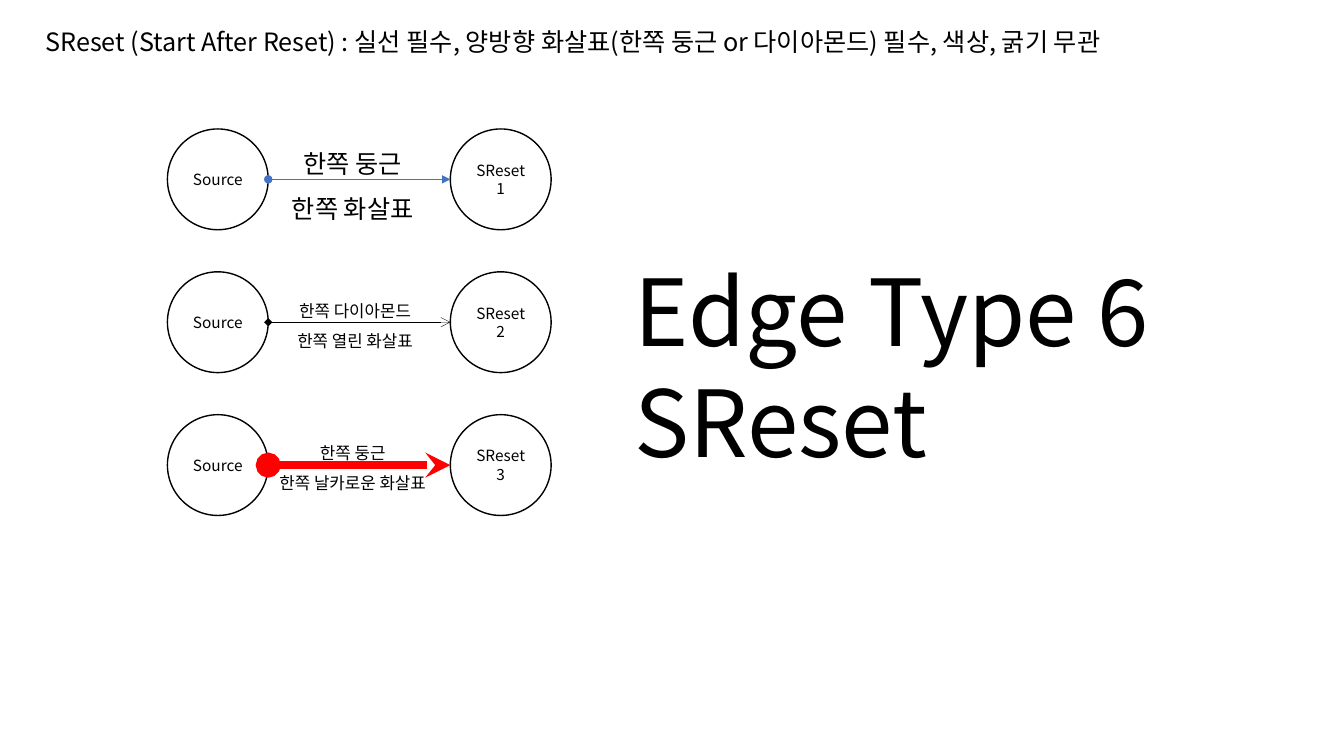
from lxml.etree import SubElement
from pptx import Presentation
from pptx.dml.color import RGBColor
from pptx.enum.shapes import MSO_CONNECTOR, MSO_SHAPE
from pptx.enum.text import MSO_ANCHOR, MSO_AUTO_SIZE, PP_ALIGN
from pptx.oxml.ns import qn
from pptx.util import Cm, Pt

BLACK = RGBColor(0x00, 0x00, 0x00)
WHITE = RGBColor(0xFF, 0xFF, 0xFF)
BLUE = RGBColor(0x44, 0x72, 0xC4)
RED = RGBColor(0xFF, 0x00, 0x00)

CIRCLE_SIZE = 2.54
SOURCE_LEFT, RESET_LEFT = 4.22, 11.35
FIRST_TOP, ROW_PITCH = 3.25, 3.6

# label lines, label size, label box (cm), line colour, line width, head, tail
EDGES = [
    (["한쪽 둥근", "한쪽 화살표"], 18, (6.78, 3.23, 4.22, 2.41),
     BLUE, 0.5, "oval", "triangle"),
    (["한쪽 다이아몬드", "한쪽 열린 화살표"], 12, (7.06, 7.19, 3.78, 1.7),
     BLACK, 0.25, "diamond", "arrow"),
    (["한쪽 둥근", "한쪽 날카로운 화살표"], 12, (6.25, 10.77, 5.28, 1.7),
     RED, 6, "oval", "stealth"),
]


def write_text(frame, lines, size, font, align=PP_ALIGN.LEFT, spacing=1.0,
               anchor=MSO_ANCHOR.TOP, wrap=True, fit=MSO_AUTO_SIZE.SHAPE_TO_FIT_TEXT,
               first_indent=0):
    """Fill a text frame with one paragraph per line, all in one format."""
    frame.word_wrap = wrap
    frame.auto_size = fit
    frame.vertical_anchor = anchor
    for index, line in enumerate(lines):
        paragraph = frame.add_paragraph() if index else frame.paragraphs[0]
        paragraph.alignment = align
        paragraph.line_spacing = spacing
        paragraph.space_before = Pt(0)
        if first_indent and index == 0:
            properties = paragraph._p.get_or_add_pPr()
            properties.set("marL", "0")
            properties.set("indent", str(Cm(first_indent)))
        run = paragraph.add_run()
        run.text = line
        run.font.size = Pt(size)
        run.font.color.rgb = BLACK
        run.font.name = font
        SubElement(run._r.get_or_add_rPr(), qn("a:ea"), typeface=font)


class EdgeSlide:
    font = "Noto Sans CJK KR"

    def __init__(self, presentation):
        self.slide = presentation.slides.add_slide(presentation.slide_layouts[5])
        self.shapes = self.slide.shapes

    def title(self, text, box):
        shape = self.shapes.title
        shape.left, shape.top, shape.width, shape.height = map(Cm, box)
        write_text(shape.text_frame, [text], 18, self.font, wrap=False)

    def text(self, lines, size, box, **text_format):
        shape = self.shapes.add_textbox(*map(Cm, box))
        write_text(shape.text_frame, lines, size, self.font, **text_format)

    def circle(self, text, left, top):
        shape = self.shapes.add_shape(
            MSO_SHAPE.OVAL, Cm(left), Cm(top), Cm(CIRCLE_SIZE), Cm(CIRCLE_SIZE))
        shape.shadow.inherit = False
        shape.fill.solid()
        shape.fill.fore_color.rgb = WHITE
        shape.line.color.rgb = BLACK
        shape.line.width = Pt(1)
        write_text(shape.text_frame, [text], 11, self.font, align=PP_ALIGN.CENTER,
                   anchor=MSO_ANCHOR.MIDDLE, fit=MSO_AUTO_SIZE.NONE)

    def arrow(self, start, end, y, color, width, head, tail):
        connector = self.shapes.add_connector(
            MSO_CONNECTOR.STRAIGHT, Cm(start), Cm(y), Cm(end), Cm(y))
        connector.line.color.rgb = color
        connector.line.width = Pt(width)
        line = connector.line._get_or_add_ln()
        SubElement(line, qn("a:headEnd"), type=head)
        SubElement(line, qn("a:tailEnd"), type=tail)
        SubElement(connector._element.spPr, qn("a:effectLst"))


def main():
    presentation = Presentation()
    presentation.slide_width = Cm(33.87)
    presentation.slide_height = Cm(19.05)

    page = EdgeSlide(presentation)
    page.title("SReset (Start After Reset) : 실선 필수, 양방향 화살표"
               "(한쪽 둥근 or 다이아몬드) 필수, 색상, 굵기 무관",
               (0.89, 0.53, 29.44, 1.02))

    for row, (lines, size, box, color, width, head, tail) in enumerate(EDGES):
        top = FIRST_TOP + row * ROW_PITCH
        page.circle("Source", SOURCE_LEFT, top)
        page.circle(f"SReset{row + 1}", RESET_LEFT, top)
        page.text(lines, size, box, align=PP_ALIGN.CENTER, spacing=1.5,
                  first_indent=-0.2)
        page.arrow(SOURCE_LEFT + CIRCLE_SIZE, RESET_LEFT, top + CIRCLE_SIZE / 2,
                   color, width, head, tail)

    page.text(["Edge Type 6", "SReset"], 66, (15.75, 6.27, 15.77, 5.89))
    presentation.save("out.pptx")


if __name__ == "__main__":
    main()
